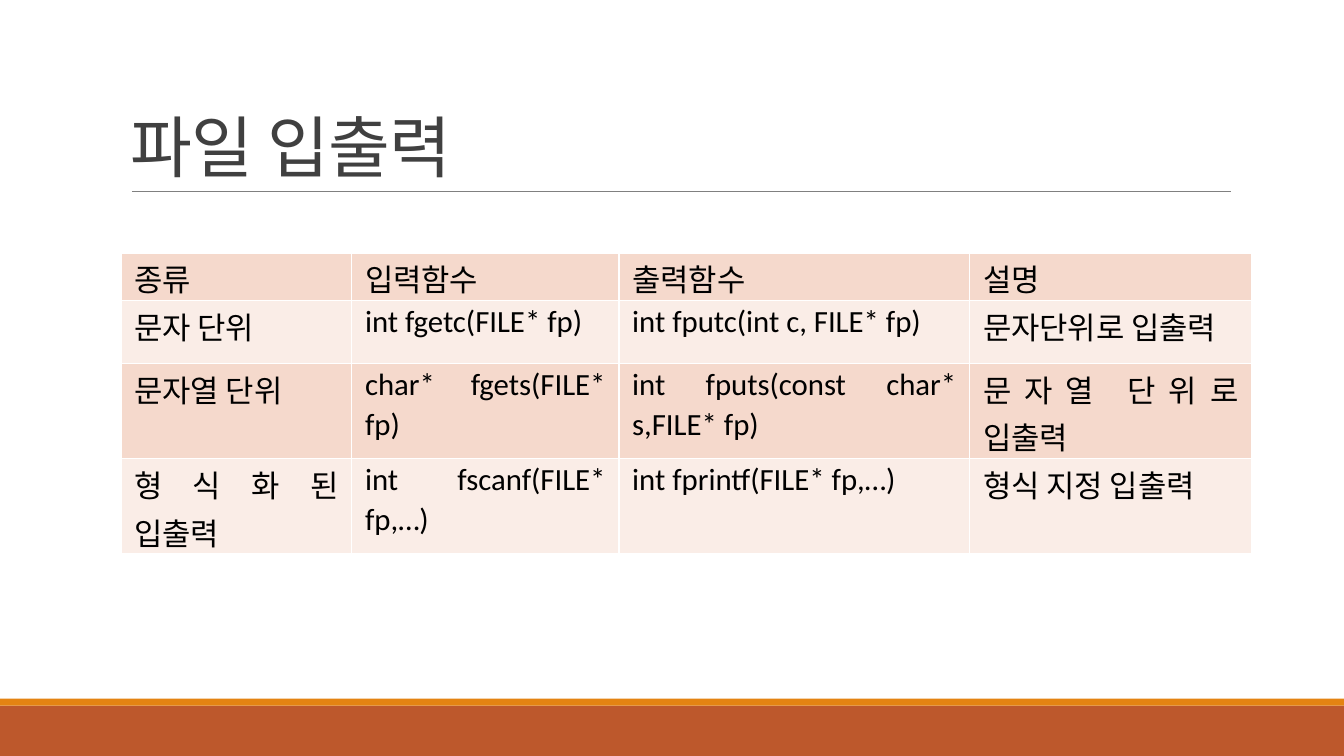
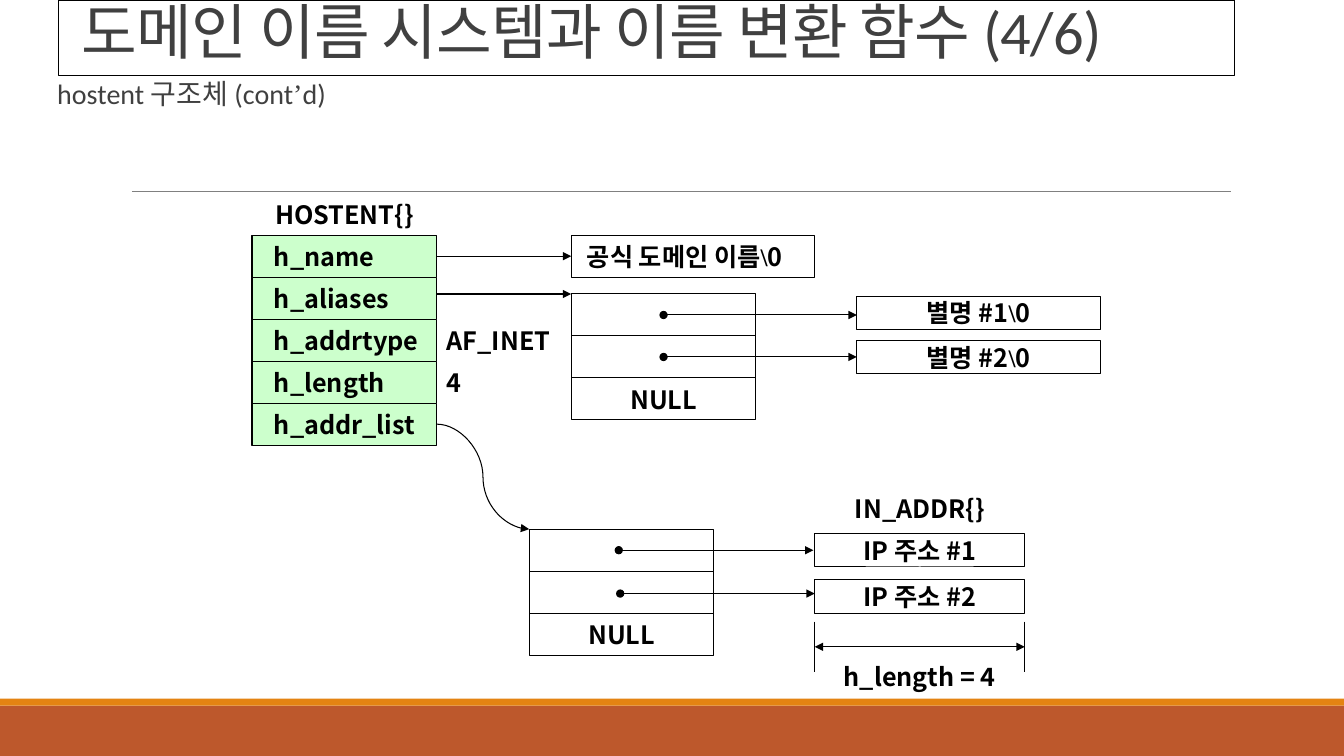
"""Two slides on C file input/output and the hostent structure."""
from itertools import groupby

from lxml import etree
from pptx import Presentation
from pptx.dml.color import RGBColor
from pptx.enum.shapes import MSO_CONNECTOR, MSO_SHAPE
from pptx.enum.text import MSO_ANCHOR, PP_ALIGN
from pptx.oxml.ns import qn
from pptx.util import Pt

RECTANGLE = MSO_SHAPE.RECTANGLE
STRAIGHT, CURVE = MSO_CONNECTOR.STRAIGHT, MSO_CONNECTOR.CURVE
LEFT, CENTER, JUSTIFY = PP_ALIGN.LEFT, PP_ALIGN.CENTER, PP_ALIGN.JUSTIFY
TOP, MIDDLE, BOTTOM = MSO_ANCHOR.TOP, MSO_ANCHOR.MIDDLE, MSO_ANCHOR.BOTTOM

COLORS = {
    "rust": "BD582C", "orange": "E48312", "rule": "808080", "title": "404040",
    "black": "000000", "white": "FFFFFF", "field": "CCFFCC",
    "row_dark": "F5D9CC", "row_light": "FAEDE7",
}
COLORS = {name: RGBColor.from_string(value) for name, value in COLORS.items()}
LATIN, KOREAN, SERIF = "Calibri", "Noto Sans CJK KR", "Times New Roman"
SERIF_MARKS = "’\\"


def write(frame, content, size=18, font=KOREAN, color="black", bold=False, align=LEFT,
          anchor=MIDDLE, inset=(0, 0, 0, 0), spacing=None, before=0, after=0, tracking=0):
    """Set one paragraph, with the serif marks in their own font."""
    frame.word_wrap = True
    frame.vertical_anchor = anchor
    (frame.margin_left, frame.margin_top,
     frame.margin_right, frame.margin_bottom) = [Pt(side) for side in inset]
    paragraph = frame.paragraphs[0]
    paragraph.alignment = align
    paragraph.line_spacing = spacing
    paragraph.space_before, paragraph.space_after = Pt(before), Pt(after)
    for is_mark, letters in groupby(content, key=lambda letter: letter in SERIF_MARKS):
        run = paragraph.add_run()
        run.text = "".join(letters)
        run.font.size, run.font.bold = Pt(size), bold
        run.font.color.rgb = COLORS[color]
        run.font.name = SERIF if is_mark else font
        properties = run.font._element
        etree.SubElement(properties, qn("a:ea")).set("typeface", SERIF if is_mark else KOREAN)
        if tracking:
            properties.set("spc", str(round(tracking * 100)))


def connect(slide, start, end, kind=STRAIGHT, color="black", width=0.75, head=None, tail=None):
    """Draw a line between two points, with optional ends."""
    line = slide.shapes.add_connector(kind, *[Pt(value) for value in start + end])
    line.line.color.rgb = COLORS[color]
    line.line.width = Pt(width)
    for tag, ending in (("a:headEnd", head), ("a:tailEnd", tail)):
        if ending:
            etree.SubElement(line.line._get_or_add_ln(), qn(tag)).set("type", ending)
    etree.SubElement(line._element.spPr, qn("a:effectLst"))


deck = Presentation()
deck.slide_width, deck.slide_height = Pt(960), Pt(540)
file_io, hostent = [deck.slides.add_slide(deck.slide_layouts[6]) for _ in range(2)]

for slide in (file_io, hostent):
    for top, height, color in ((504, 36, "rust"), (499, 5, "orange")):
        band = slide.shapes.add_shape(RECTANGLE, 0, Pt(top), deck.slide_width, Pt(height))
        band.shadow.inherit = False
        band.fill.solid()
        band.fill.fore_color.rgb = COLORS[color]
        band.line.fill.background()
    connect(slide, (94.3, 136.8), (879, 136.8), color="rule", width=0.5)

TITLE = {"font": LATIN, "color": "title", "spacing": 0.85, "tracking": -0.5}
heading = file_io.shapes.add_textbox(Pt(86.4), Pt(22.3), Pt(792), Pt(114.5))
write(heading.text_frame, "파일 입출력", size=48, anchor=BOTTOM,
      inset=(7.2, 3.6, 7.2, 3.6), **TITLE)

COLUMN_WIDTHS = (164.9, 190.8, 250.6, 201.6)
ROW_HEIGHTS = (34, 45, 68, 68)
FUNCTIONS = (
    ("종류", "입력함수", "출력함수", "설명"),
    ("문자 단위", "int fgetc(FILE* fp)", "int fputc(int c, FILE* fp)", "문자단위로 입출력"),
    ("문자열 단위", "char* fgets(FILE* fp)", "int fputs(const char* s,FILE* fp)",
     "문자열 단위로 입출력"),
    ("형식화된 입출력", "int fscanf(FILE* fp,…)", "int fprintf(FILE* fp,…)", "형식 지정 입출력"),
)
functions = file_io.shapes.add_table(
    len(ROW_HEIGHTS), len(COLUMN_WIDTHS), Pt(86.4), Pt(180.7),
    Pt(sum(COLUMN_WIDTHS)), Pt(sum(ROW_HEIGHTS))).table
functions.first_row = functions.horz_banding = False
for column, width in zip(functions.columns, COLUMN_WIDTHS):
    column.width = Pt(width)
for index, (row, height, entries) in enumerate(zip(functions.rows, ROW_HEIGHTS, FUNCTIONS)):
    row.height = Pt(height)
    for cell, entry in zip(row.cells, entries):
        write(cell.text_frame, entry, size=22, font=LATIN, align=JUSTIFY, spacing=1.07, after=8)
        cell.vertical_anchor = TOP
        cell.margin_left = cell.margin_right = Pt(9.5)
        cell.margin_top = cell.margin_bottom = 0
        borders = cell._tc.get_or_add_tcPr()
        for side in ("a:lnL", "a:lnR", "a:lnT", "a:lnB"):
            border = etree.SubElement(borders, qn(side), w=str(Pt(1)))
            paint = etree.SubElement(border, qn("a:solidFill"))
            etree.SubElement(paint, qn("a:srgbClr"), val=str(COLORS["white"]))
        cell.fill.solid()
        cell.fill.fore_color.rgb = COLORS["row_light" if index % 2 else "row_dark"]

heading = hostent.shapes.add_shape(RECTANGLE, Pt(41.8), 0, Pt(840), Pt(54))
heading.shadow.inherit = False
heading.fill.solid()
heading.fill.fore_color.rgb = COLORS["white"]
heading.line.color.rgb = COLORS["black"]
heading.line.width = Pt(0.75)
write(heading.text_frame, "도메인 이름 시스템과 이름 변환 함수 (4/6)", size=43.2, anchor=TOP,
      inset=(16.5, 3.6, 7.2, 3.6), **TITLE)
subject = hostent.shapes.add_textbox(Pt(33.8), Pt(54), Pt(860.4), Pt(432.7))
write(subject.text_frame, "hostent 구조체 (cont’d)", size=20, font=LATIN, color="title",
      anchor=TOP, inset=(7.2, 3.6, 0, 3.6), spacing=0.9, before=12, after=2)

STEP = 30
FIELD_LEFT, FIELD_TOP, FIELD_WIDTH = 180, 168, 132
FIELD_RIGHT = FIELD_LEFT + FIELD_WIDTH
ALIAS_LEFT, ALIAS_TOP = 408, 210
ADDRESS_LEFT, ADDRESS_TOP = 378, 378
IP_LEFT, IP_WIDTH = 582, 150
IP_RIGHT = IP_LEFT + IP_WIDTH

labels = [
    (FIELD_LEFT, FIELD_TOP - STEP, FIELD_WIDTH, STEP, "HOSTENT{}", CENTER, 0),
    (FIELD_RIGHT, FIELD_TOP + 2 * STEP, 108, STEP, "AF_INET", LEFT, 7.2),
    (FIELD_RIGHT, FIELD_TOP + 3 * STEP, 108, STEP, "4", LEFT, 7.2),
    (IP_LEFT, 351, IP_WIDTH, 24, "IN_ADDR{}", CENTER, 0),
    (IP_LEFT, 474, IP_WIDTH, 18, "h_length = 4", CENTER, 0),
]
for left, top, width, height, content, align, indent in labels:
    label = hostent.shapes.add_textbox(Pt(left), Pt(top), Pt(width), Pt(height))
    write(label.text_frame, content, bold=True, align=align, inset=(indent, 0, 0, 0))

boxes = [
    (ALIAS_LEFT, FIELD_TOP, 174, STEP, "공식 도메인 이름\\0", LEFT, 11.2, None),
    (612, 211.5, 174, 24, "별명 #1\\0", CENTER, 0, None),
    (612, 243, 174, 24, "별명 #2\\0", CENTER, 0, None),
    (IP_LEFT, 381, IP_WIDTH, 24, "IP 주소 #1", CENTER, 0, None),
    (IP_LEFT, 414, IP_WIDTH, 24, "IP 주소 #2", CENTER, 0, None),
]
for index, field in enumerate(("h_name", "h_aliases", "h_addrtype", "h_length", "h_addr_list")):
    boxes.append((FIELD_LEFT, FIELD_TOP + index * STEP, FIELD_WIDTH, STEP,
                  field, LEFT, 15.7, "field"))
for left, top in ((ALIAS_LEFT, ALIAS_TOP), (ADDRESS_LEFT, ADDRESS_TOP)):
    for index, entry in enumerate(("", "", "NULL")):
        boxes.append((left, top + index * STEP, FIELD_WIDTH, STEP, entry, CENTER, 0, None))
for left, top, width, height, content, align, indent, fill in boxes:
    box = hostent.shapes.add_shape(RECTANGLE, Pt(left), Pt(top), Pt(width), Pt(height))
    box.shadow.inherit = False
    if fill:
        box.fill.solid()
        box.fill.fore_color.rgb = COLORS[fill]
    else:
        box.fill.background()
    box.line.color.rgb = COLORS["black"]
    box.line.width = Pt(0.75)
    if content:
        write(box.text_frame, content, bold=True, align=align, inset=(indent, 0, 0, 0))

for y in (183, ALIAS_TOP):
    connect(hostent, (FIELD_RIGHT, y), (ALIAS_LEFT, y), tail="triangle")
for start, end, y in ((474, 612, 225), (474, 612, 255), (442, 581, 393), (443, 582, 424)):
    connect(hostent, (start, y), (end, y), head="oval", tail="triangle")
connect(hostent, (FIELD_RIGHT, 303), (ADDRESS_LEFT, ADDRESS_TOP), kind=CURVE, tail="triangle")
for x in (IP_LEFT, IP_RIGHT):
    connect(hostent, (x, 444), (x, 480))
connect(hostent, (IP_LEFT, 462), (IP_RIGHT, 462), head="triangle", tail="triangle")

deck.save("out.pptx")
